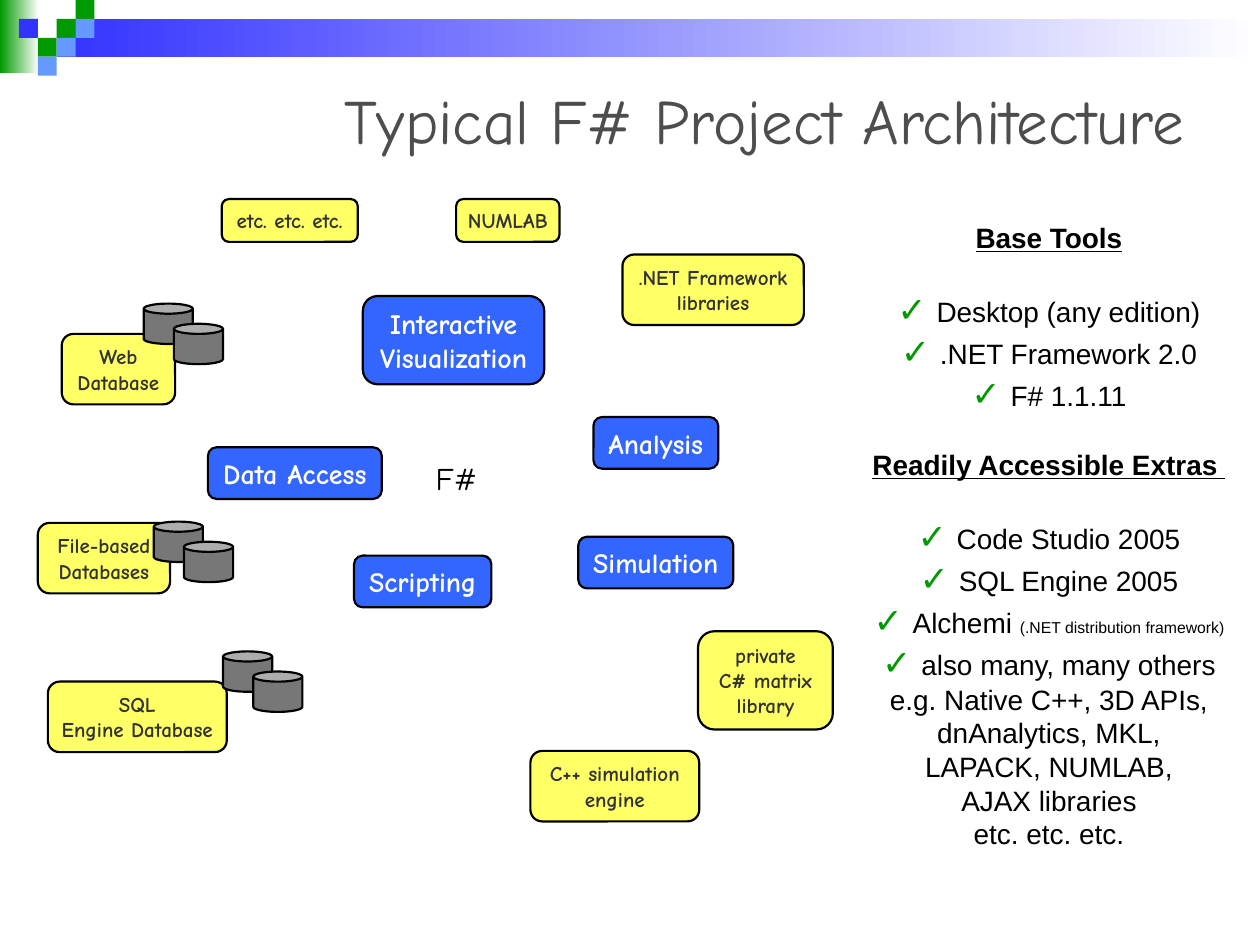
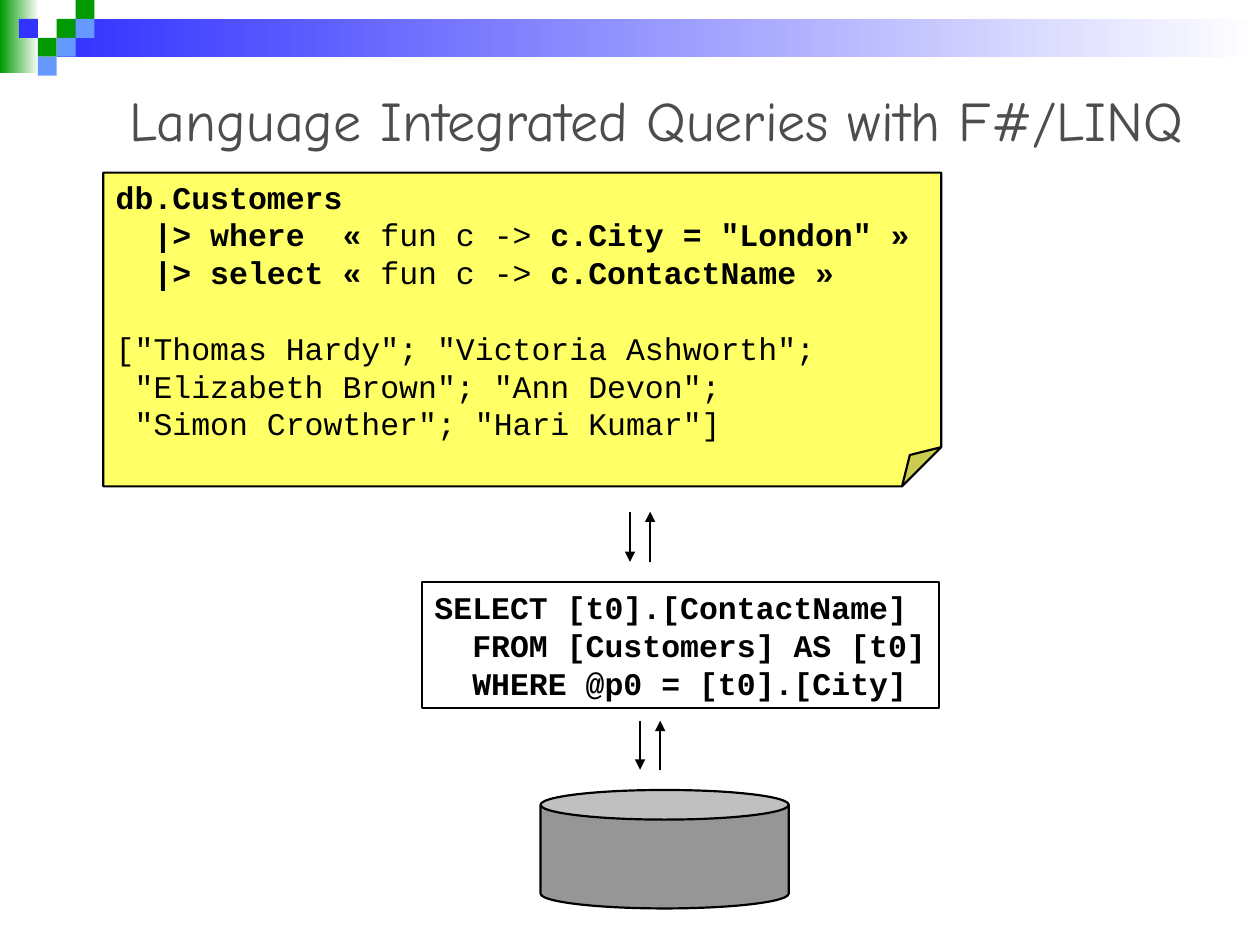
from pptx import Presentation
from pptx.dml.color import RGBColor
from pptx.enum.shapes import MSO_CONNECTOR, MSO_SHAPE
from pptx.enum.text import MSO_ANCHOR, PP_ALIGN
from pptx.oxml.ns import qn
from pptx.util import Pt
from lxml import etree

PX = 9144  # EMU per px, 100 px to the inch
SQUARE = 15
LINE_WIDTH = 1.25
LINE_PITCH = 1.2  # line height as a multiple of the text size

RECT = MSO_SHAPE.RECTANGLE
ROUNDED = MSO_SHAPE.ROUNDED_RECTANGLE
FOLDED = MSO_SHAPE.FOLDED_CORNER
CAN = MSO_SHAPE.CAN
STRAIGHT = MSO_CONNECTOR.STRAIGHT
LEFT, CENTER, RIGHT = PP_ALIGN.LEFT, PP_ALIGN.CENTER, PP_ALIGN.RIGHT
TOP, MIDDLE = MSO_ANCHOR.TOP, MSO_ANCHOR.MIDDLE

SANS, COMIC, MONO = "Arial", "Comic Neue", "Courier New"

COLORS = {
    "green": "009900",
    "blue": "3333FF",
    "sky": "6699FF",
    "white": "FFFFFF",
    "black": "000000",
    "title": "4D4D4D",
    "yellow": "FFFF66",
    "node_text": "333333",
    "node_blue": "3366FF",
    "disk": "777777",
    "big_disk": "969696",
}

# column, row, colour
CORNER_SQUARES = [
    (3, 1, "green"), (4, 0, "green"), (4, 1, "sky"), (2, 2, "green"),
    (1, 1, "blue"), (3, 2, "sky"), (2, 3, "sky"),
]

OUTER_NODES = [
    ((421, 596, 134, 56), ["C++ simulation", "engine"]),
    ((554, 501, 107, 78), ["private", "C# matrix", "library"]),
    ((49, 265, 90, 56), ["Web", "Database"]),
    ((38, 541, 142, 56), ["SQL", "Engine Database"]),
    ((494, 202, 144, 56), [".NET Framework", "libraries"]),
    ((362, 158, 82, 34), ["NUMLAB"]),
    ((30, 415, 105, 56), ["File-based", "Databases"]),
    ((176, 158, 108, 34), ["etc. etc. etc."]),
]

CORE_NODES = [
    ((165, 355, 138, 41), ["Data Access"]),
    ((459, 426, 123, 41), ["Simulation"]),
    ((288, 235, 144, 70), ["Interactive", "Visualization"]),
    ((281, 441, 109, 41), ["Scripting"]),
    ((471, 331, 99, 41), ["Analysis"]),
]

DISK_PAIRS = [(177, 517), (122, 414), (114, 241)]

HEADING = {"bold": True, "underline": True}
CHECK = ("✓ ", {"size": 20, "color": "green"})
PLAIN = {"bold": False}

TOOLS = [
    [("Base Tools", HEADING)],
    [CHECK, "Desktop (any edition)"],
    [CHECK, ".NET Framework 2.0"],
    [CHECK, "F# 1.1.11"],
    [("Readily Accessible Extras ", HEADING)],
    [CHECK, "Code Studio 2005"],
    [CHECK, "SQL Engine 2005"],
    [CHECK, "Alchemi ", ("(.NET distribution framework)", {"size": 9})],
    [CHECK, "also many, many others"],
    ["e.g. Native C++, 3D APIs,"],
    ["dnAnalytics, MKL,"],
    ["LAPACK, NUMLAB,"],
    ["AJAX libraries"],
    ["etc. etc. etc."],
]
TOOL_GAPS = (1, 4, 5)

QUERY = [
    ["db.Customers"],
    ["  |> where  « ", ("fun c ->", PLAIN), ' c.City = "London" »'],
    ["  |> select « ", ("fun c ->", PLAIN), " c.ContactName »"],
    [('["Thomas Hardy"; "Victoria Ashworth";', PLAIN)],
    [(' "Elizabeth Brown"; "Ann Devon";', PLAIN)],
    [(' "Simon Crowther"; "Hari Kumar"]', PLAIN)],
]
QUERY_GAPS = (3,)

SQL = [
    ["SELECT [t0].[ContactName]"],
    ["  FROM [Customers] AS [t0]"],
    ["  WHERE @p0 = [t0].[City]"],
]


def rgb(name):
    return RGBColor.from_string(COLORS[name])


def scaled(bounds):
    return [value * PX for value in bounds]


def write(box, paragraphs, font, size, color="black", bold=False,
          align=LEFT, anchor=MIDDLE, gaps=()):
    """Fill a box; a span is a string or (string, overrides), gaps lists
    the paragraphs that stand one line further down."""
    frame = box.text_frame
    frame.word_wrap = False
    frame.vertical_anchor = anchor
    for index, spans in enumerate(paragraphs):
        para = frame.paragraphs[0] if index == 0 else frame.add_paragraph()
        para.alignment = align
        if index in gaps:
            para.space_before = Pt(size * LINE_PITCH)
        tallest = 0
        for span in spans:
            text, overrides = (span, {}) if isinstance(span, str) else span
            style = {"size": size, "color": color, "bold": bold, **overrides}
            run = para.add_run()
            run.text = text
            run.font.name = font
            run.font.size = Pt(style["size"])
            run.font.bold = style["bold"]
            run.font.underline = style.get("underline", False)
            run.font.color.rgb = rgb(style["color"])
            tallest = max(tallest, style["size"])
        para.line_spacing = Pt(tallest * LINE_PITCH)


def add_block(page, kind, bounds, fill, outlined=True):
    block = page.shapes.add_shape(kind, *scaled(bounds))
    block.shadow.inherit = False
    block.fill.solid()
    block.fill.fore_color.rgb = rgb(fill)
    if outlined:
        block.line.color.rgb = rgb("black")
        block.line.width = Pt(LINE_WIDTH)
    else:
        block.line.fill.background()
    return block


def add_fade(page, bounds, color):
    """Rectangle that fades from a colour to white, left to right."""
    band = add_block(page, RECT, bounds, color, outlined=False)
    band.fill.gradient()
    band.fill.gradient_angle = 0
    for stop, name in zip(band.fill.gradient_stops, (color, "white")):
        stop.color.rgb = rgb(name)


def add_label(page, bounds, paragraphs, font, size, **style):
    box = page.shapes.add_textbox(*scaled(bounds))
    write(box, paragraphs, font, size, **style)


def add_node(page, bounds, lines, fill, size, color):
    node = add_block(page, ROUNDED, bounds, fill)
    write(node, [[line] for line in lines], COMIC, size, color,
          bold=True, align=CENTER)


def add_note(page, bounds, fill):
    """Sheet whose folded corner takes an eighth of its height."""
    note = add_block(page, FOLDED, bounds, fill)
    guides = note._element.spPr.find(qn("a:prstGeom")).get_or_add_avLst()
    etree.SubElement(guides, qn("a:gd"), name="adj", fmla="val 12500")
    return note


def add_disk_pair(page, left, top):
    for dx, dy in ((0, 0), (24, 16)):
        add_block(page, CAN, (left + dx, top + dy, 39, 32), "disk")


def add_arrow(page, x, start, end):
    arrow = page.shapes.add_connector(
        STRAIGHT, *scaled((x, start, x, end)))
    arrow.line.color.rgb = rgb("black")
    arrow.line.width = Pt(LINE_WIDTH)
    properties = arrow._element.spPr
    outline = properties.find(qn("a:ln"))
    etree.SubElement(outline, qn("a:tailEnd"), type="triangle")
    etree.SubElement(properties, qn("a:effectLst"))


def add_exchange(page, x, top, bottom):
    """One arrow down and, beside it, one arrow up."""
    add_arrow(page, x, top, bottom)
    add_arrow(page, x + 16, bottom, top)


def add_page(deck, title, size):
    page = deck.slides.add_slide(deck.slide_layouts[6])
    add_fade(page, (0, 0, 31, 58), "green")
    add_fade(page, (45, 15, 955, 30), "blue")
    for column, row, color in CORNER_SQUARES:
        bounds = (column * SQUARE, row * SQUARE, SQUARE, SQUARE)
        add_block(page, RECT, bounds, color, outlined=False)
    add_label(page, (50, 50, 900, 89), [[title]], COMIC, size,
              color="title", align=RIGHT)
    return page


def build_architecture(deck):
    page = add_page(deck, "Typical F# Project Architecture", 36)
    add_label(page, (682, 170, 301, 510), TOOLS, SANS, 16,
              align=CENTER, anchor=TOP, gaps=TOOL_GAPS)
    for bounds, lines in OUTER_NODES:
        add_node(page, bounds, lines, "yellow", 12, "node_text")
    for bounds, lines in CORE_NODES:
        add_node(page, bounds, lines, "node_blue", 16, "white")
    add_label(page, (336, 359, 53, 40), [["F#"]], COMIC, 18, anchor=TOP)
    for left, top in DISK_PAIRS:
        add_disk_pair(page, left, top)


def build_queries(deck):
    page = add_page(deck, "Language Integrated Queries with F#/LINQ", 32)
    note = add_note(page, (82, 137, 665, 249), "yellow")
    write(note, QUERY, MONO, 18, bold=True, gaps=QUERY_GAPS)
    statement = add_block(page, RECT, (335, 462, 410, 100), "white")
    write(statement, SQL, MONO, 18, bold=True)
    add_block(page, CAN, (429, 627, 197, 94), "big_disk")
    add_exchange(page, 508, 572, 611)
    add_exchange(page, 500, 406, 446)


def main():
    deck = Presentation()
    deck.slide_width, deck.slide_height = scaled((1000, 750))
    build_architecture(deck)
    build_queries(deck)
    deck.save("out.pptx")


if __name__ == "__main__":
    main()
